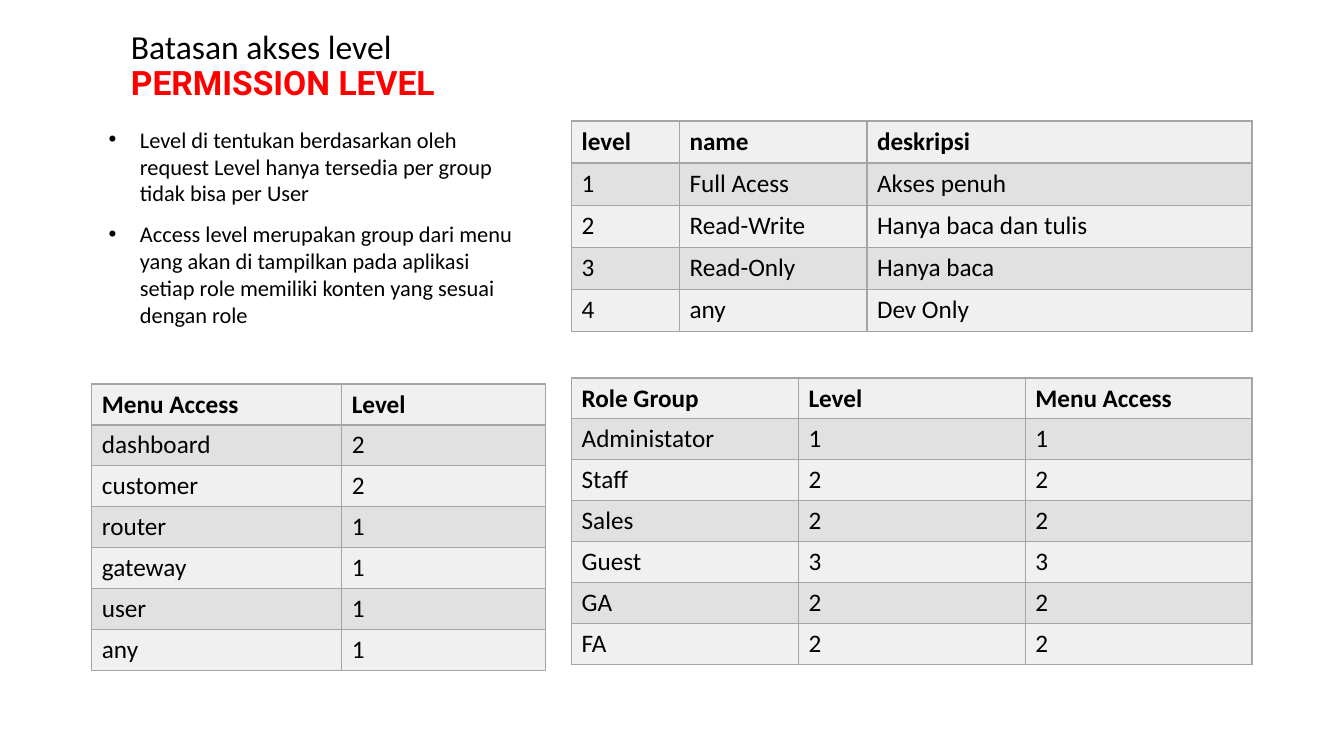
from lxml import etree
from pptx import Presentation
from pptx import util as u
from pptx.dml.color import RGBColor
from pptx.enum import text
from pptx.oxml import ns

BLACK, RED, GRID_LINE = "000000", "FF0000", "A5A5A5"
BANDS = ("F0F0F0", "E1E1E1")

LEVELS = [
    ("level", "name", "deskripsi"),
    ("1", "Full Acess", "Akses penuh"),
    ("2", "Read-Write", "Hanya baca dan tulis"),
    ("3", "Read-Only", "Hanya baca"),
    ("4", "any", "Dev Only"),
]
ROLES = [
    ("Role Group", "Level", "Menu Access"),
    ("Administator", "1", "1"),
    ("Staff", "2", "2"),
    ("Sales", "2", "2"),
    ("Guest", "3", "3"),
    ("GA", "2", "2"),
    ("FA", "2", "2"),
]
MENUS = [
    ("Menu Access", "Level"),
    ("dashboard", "2"),
    ("customer", "2"),
    ("router", "1"),
    ("gateway", "1"),
    ("user", "1"),
    ("any", "1"),
]
RULES = [
    "Level di tentukan berdasarkan oleh request Level hanya tersedia per group "
    "tidak bisa per User",
    "Access level merupakan group dari menu yang akan di tampilkan pada aplikasi "
    "setiap role memiliki konten yang sesuai dengan role",
]


def colour(hex_code):
    return RGBColor.from_string(hex_code)


class Page:
    """Places elements on a grid of 100 columns by 100 rows."""

    def __init__(self, deck, font="Calibri"):
        self.slide = deck.slides.add_slide(deck.slide_layouts[6])
        self.column = deck.slide_width / 100
        self.row = deck.slide_height / 100
        self.font = font

    def area(self, left, top, width, height):
        return (round(left * self.column), round(top * self.row),
                round(width * self.column), round(height * self.row))

    def style(self, run, size, bold=False, hex_code=BLACK, font=None):
        run.font.name = font or self.font
        run.font.size = u.Pt(size)
        run.font.bold = bold
        run.font.color.rgb = colour(hex_code)

    def frame(self, area, anchor):
        frame = self.slide.shapes.add_textbox(*self.area(*area)).text_frame
        frame.word_wrap = True
        frame.vertical_anchor = anchor
        return frame

    def heading(self, area, topic, title):
        frame = self.frame(area, text.MSO_ANCHOR.BOTTOM)
        paragraph = frame.paragraphs[0]
        paragraph.text = f"{topic}\v{title}"
        paragraph.line_spacing = 0.9
        topic_run, title_run = paragraph.runs
        self.style(topic_run, 24)
        self.style(title_run, 24, True, RED, "Roboto")

    def bullets(self, area, items):
        frame = self.frame(area, text.MSO_ANCHOR.TOP)
        frame.text = "\n".join(items)
        for paragraph in frame.paragraphs:
            paragraph.space_before = u.Pt(10)
            self.style(paragraph.runs[0], 16)
            props = paragraph._p.get_or_add_pPr()
            props.set("marL", str(u.Inches(0.31)))
            props.set("indent", str(-u.Inches(0.31)))
            etree.SubElement(props, ns.qn("a:buFont"), typeface="Arial")
            etree.SubElement(props, ns.qn("a:buChar"), char="•")

    def borders(self, cell):
        props = cell._tc.get_or_add_tcPr()
        for side in ("lnL", "lnR", "lnT", "lnB"):
            line = etree.SubElement(props, ns.qn(f"a:{side}"), w=str(u.Pt(1)))
            fill = etree.SubElement(line, ns.qn("a:solidFill"))
            etree.SubElement(fill, ns.qn("a:srgbClr"), val=GRID_LINE)

    def table(self, area, records, shares):
        place = self.area(*area)
        table = self.slide.shapes.add_table(len(records), len(shares), *place).table
        for column, share in zip(table.columns, shares):
            column.width = round(place[2] * share / sum(shares))
        for r, record in enumerate(records):
            for c, entry in enumerate(record):
                cell = table.cell(r, c)
                cell.text_frame.text = entry
                self.style(cell.text_frame.paragraphs[0].runs[0], 18, bold=r == 0)
                self.borders(cell)
                cell.fill.solid()
                cell.fill.fore_color.rgb = colour(BANDS[r % 2])


def main():
    deck = Presentation()
    deck.slide_width, deck.slide_height = u.Inches(13.33), u.Inches(7.5)
    page = Page(deck)

    # Heading and access rules
    page.heading((9, 2.8, 32.25, 11.47), "Batasan akses level", "PERMISSION LEVEL")
    page.bullets((7.35, 16, 32.25, 31.2), RULES)

    # Right side: permission levels above role groups
    right, right_width = 42.53, 50.63
    page.table((right, 16, right_width, 27.87), LEVELS, (1.07, 1.86, 3.82))
    page.table((right, 50, right_width, 37.87), ROLES, (1, 1, 1))

    # Left side: menu access
    page.table((6.83, 50.8, 33.75, 37.87), MENUS, (2.48, 2.02))

    deck.save("out.pptx")


if __name__ == "__main__":
    main()
